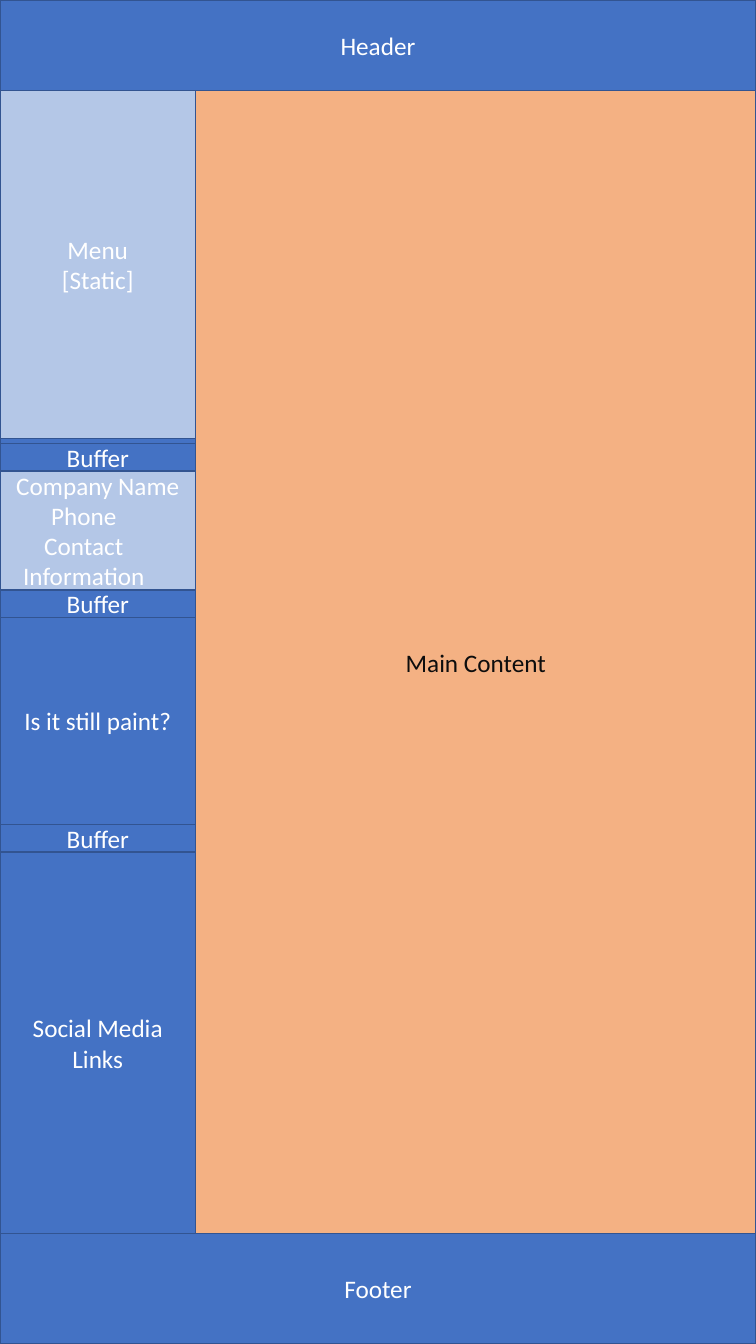
import pptx
import pptx.dml.color
import pptx.enum.shapes
import pptx.enum.text
import pptx.util

Pt = pptx.util.Pt
RGBColor = pptx.dml.color.RGBColor

BLUE = RGBColor(0x44, 0x72, 0xC4)
PALE = RGBColor(0xB4, 0xC7, 0xE7)
ORANGE = RGBColor(0xF4, 0xB1, 0x83)
OUTLINE = RGBColor(0x32, 0x54, 0x91)
WHITE = RGBColor(0xFF, 0xFF, 0xFF)
DARK = RGBColor(0x0D, 0x0D, 0x0D)

PAGE_W, PAGE_H = 540, 960
HEADER_H = 64.8
FOOTER_TOP = 881.3
BODY_H = FOOTER_TOP - HEADER_H
SIDE_W = 139.7
BUFFER_H = 19.7
MENU_GAP = 3.6
PHONE_INDENT = 20


def add_text(tf, text, size=18, font="Calibri", color=WHITE):
    tf.word_wrap = True
    tf.vertical_anchor = pptx.enum.text.MSO_ANCHOR.MIDDLE
    for i, line in enumerate(text.split("\n")):
        p = tf.paragraphs[0] if i == 0 else tf.add_paragraph()
        p.alignment = pptx.enum.text.PP_ALIGN.CENTER
        r = p.add_run()
        r.text = line
        r.font.size = Pt(size)
        r.font.name = font
        r.font.color.rgb = color


def add_block(s, x, y, w, h, fill=BLUE, text="", color=WHITE):
    sp = s.shapes.add_shape(pptx.enum.shapes.MSO_SHAPE.RECTANGLE,
                            Pt(x), Pt(y), Pt(w), Pt(h))
    sp.shadow.inherit = False
    sp.fill.solid()
    sp.fill.fore_color.rgb = fill
    sp.line.color.rgb = OUTLINE
    sp.line.width = Pt(1)
    if text:
        add_text(sp.text_frame, text, color=color)
    return sp


def add_sidebar(s):
    add_block(s, 0, HEADER_H, SIDE_W, BODY_H)
    buffer = ("Buffer", BUFFER_H, BLUE, 0)
    sections = [
        ("Menu\n[Static]", 248.4, PALE, MENU_GAP),
        buffer,
        ("Company Name\nPhone\nContact Information", 84.8, PALE, 0),
        buffer,
        ("Is it still paint?", 147.8, BLUE, 0),
        buffer,
        ("Social Media Links", 272.8, BLUE, 0),
    ]
    y = HEADER_H
    for text, h, fill, gap in sections:
        sp = add_block(s, 0, y, SIDE_W, h, fill, text)
        for p in sp.text_frame.paragraphs:
            if p.text == "Phone":
                p._p.get_or_add_pPr().set("marR", str(Pt(PHONE_INDENT)))
        y += h + gap


def main():
    prs = pptx.Presentation()
    prs.slide_width, prs.slide_height = Pt(PAGE_W), Pt(PAGE_H)
    s = prs.slides.add_slide(prs.slide_layouts[6])
    add_block(s, 0, 0, PAGE_W, HEADER_H, text="Header")
    add_sidebar(s)
    add_block(s, 0, FOOTER_TOP, PAGE_W, PAGE_H - FOOTER_TOP, text="Footer")
    add_block(s, SIDE_W, HEADER_H, PAGE_W - SIDE_W, BODY_H, ORANGE,
              "Main Content", DARK)
    prs.save("out.pptx")


main()
